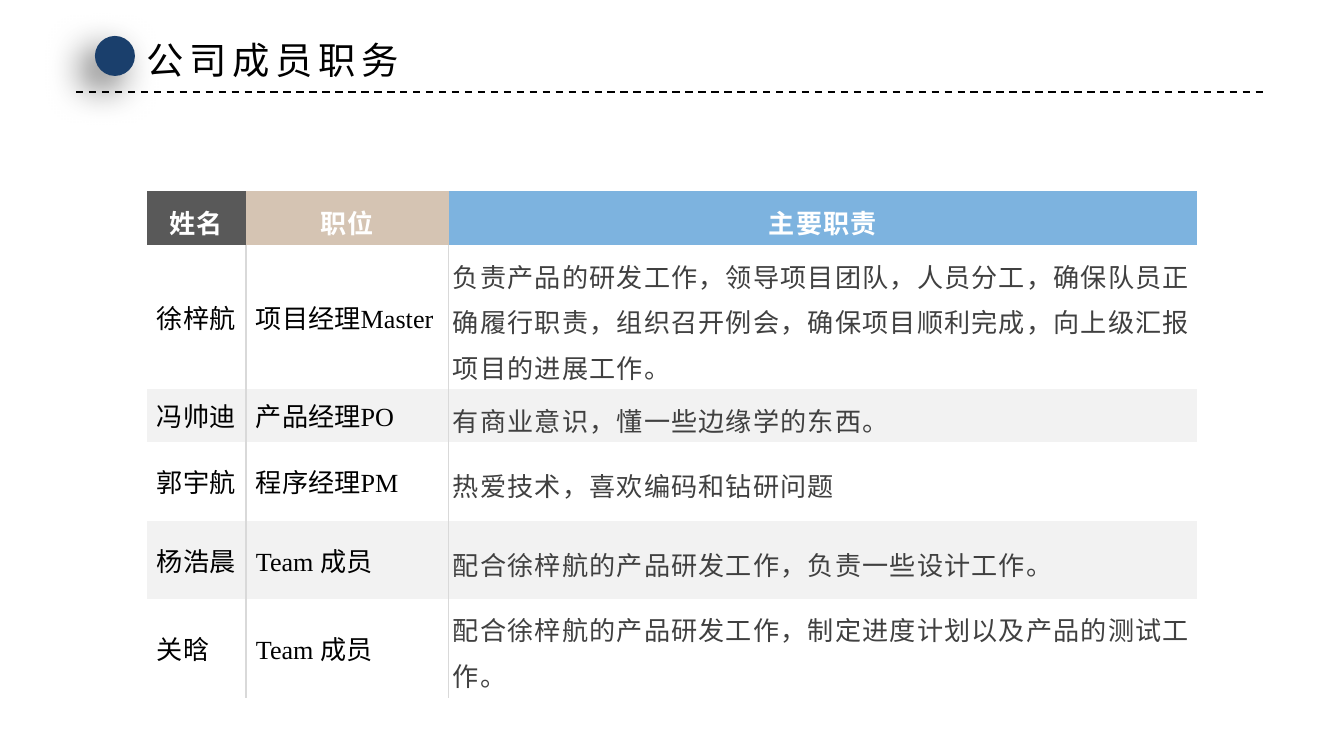
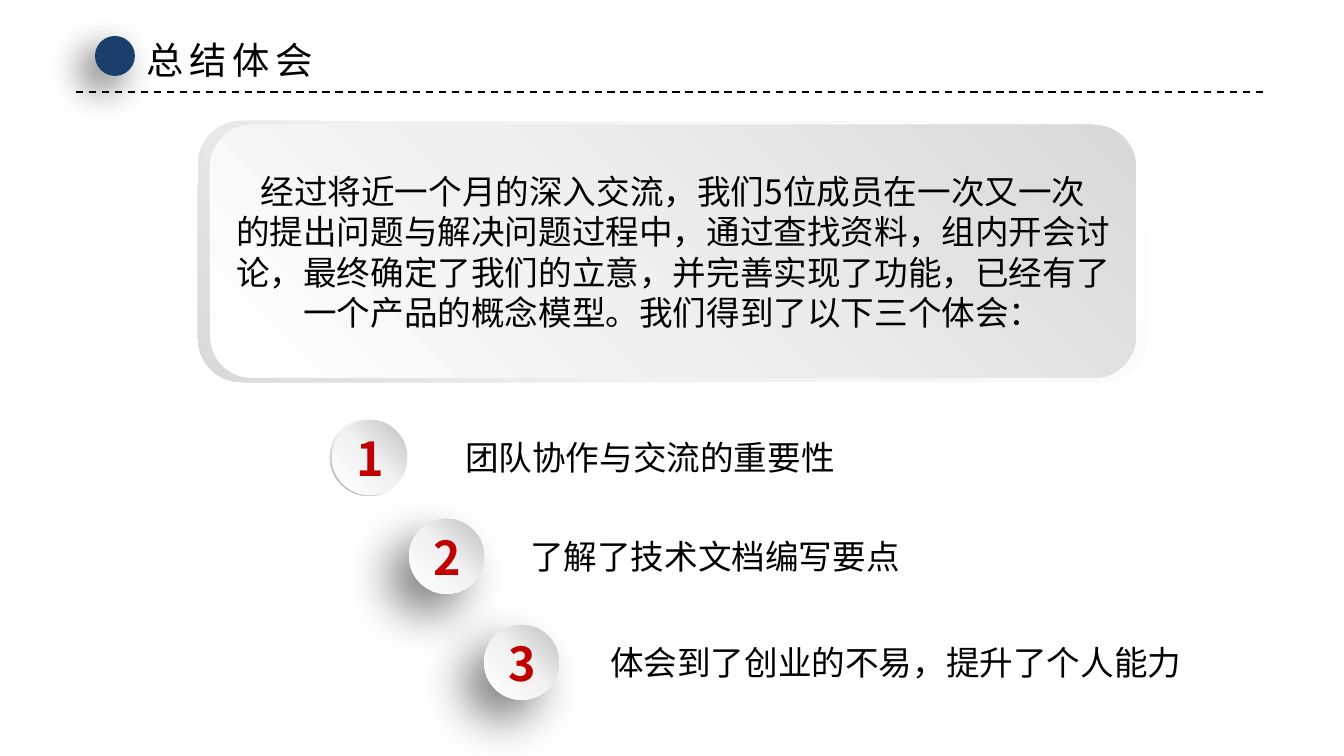
from dataclasses import dataclass

from lxml.etree import SubElement
from pptx import Presentation
from pptx.dml.color import RGBColor
from pptx.enum.dml import MSO_LINE
from pptx.enum.shapes import MSO_CONNECTOR, MSO_SHAPE
from pptx.enum.text import MSO_ANCHOR, MSO_AUTO_SIZE, PP_ALIGN
from pptx.oxml.ns import qn
from pptx.util import Emu, Pt


@dataclass(frozen=True)
class Theme:
    sans: str = "Noto Sans CJK SC"
    serif: str = "Times New Roman"
    ink: str = "000000"
    white: str = "FFFFFF"
    navy: str = "1A3F6C"
    red: str = "C00000"
    duty: str = "404040"
    rule: str = "D9D9D9"
    heads: tuple = ("595959", "D5C4B3", "7DB3DF")
    stripes: tuple = ("FFFFFF", "F2F2F2")
    title: int = 20
    body: int = 18
    cell: int = 14
    number: int = 25


T = Theme()
PX = 914400 / 134.4
BOX_BACK = ((0, "FFFFFF"), (62, "F2F2F2"), (100, "D9D9D9"))
BOX_FRONT = ((0, "FFFFFF"), (42, "F0F0F0"), (100, "D9D9D9"))
RING = ((0, "FFFFFF"), (55, "F2F2F2"), (100, "A6A6A6"))
BALL = ((0, "FFFFFF"), (51, "F2F2F2"), (100, "BFBFBF"))


def paint(sp, fill, angle=0, shadow=None):
    sp.line.fill.background()
    sp.shadow.inherit = False
    spPr = sp._element.spPr
    if isinstance(fill, str):
        sp.fill.solid()
        sp.fill.fore_color.rgb = RGBColor.from_string(fill)
    else:
        sp.fill.gradient()
        sp.fill.gradient_angle = 360 - angle
        stops = spPr.find(".//" + qn("a:gsLst"))
        for gs in list(stops):
            stops.remove(gs)
        for pos, color in fill:
            gs = SubElement(stops, qn("a:gs"), pos=str(pos * 1000))
            SubElement(gs, qn("a:srgbClr"), val=color)
    if shadow:
        alpha, blur, dist = shadow
        shdw = SubElement(spPr.find(qn("a:effectLst")), qn("a:outerShdw"),
                          blurRad=str(Pt(blur)), dist=str(Pt(dist)),
                          dir="8100000", algn="ctr", rotWithShape="0")
        clr = SubElement(shdw, qn("a:srgbClr"), val=T.ink)
        SubElement(clr, qn("a:alpha"), val=str(alpha * 1000))


def write(tf, text, size, color=T.ink, font=T.sans, bold=False, spacing=0,
          align=PP_ALIGN.LEFT, leading=None):
    tf.text = text
    p = tf.paragraphs[0]
    p.alignment = align
    p.line_spacing = leading
    for r in p.runs:
        r.font.size = Pt(size)
        r.font.bold = bold
        r.font.color.rgb = RGBColor.from_string(color)
        r.font.name = font
        rPr = r._r.get_or_add_rPr()
        rPr.set("spc", str(spacing))
        SubElement(rPr, qn("a:ea"), typeface=T.sans)


prs = Presentation()
prs.slide_width, prs.slide_height = Emu(round(1344 * PX)), Emu(round(756 * PX))

for text, width in (("公司成员职务", 285), ("总结体会", 199)):
    s = prs.slides.add_slide(prs.slide_layouts[5])
    rule = s.shapes.add_connector(MSO_CONNECTOR.STRAIGHT,
                                  *(round(v * PX) for v in (76, 92, 1268, 92)))
    rule.line.color.rgb = RGBColor.from_string(T.ink)
    rule.line.width = Pt(1)
    rule.line.dash_style = MSO_LINE.DASH
    SubElement(rule._element.spPr, qn("a:effectLst"))
    dot = s.shapes.add_shape(MSO_SHAPE.OVAL,
                             *(round(v * PX) for v in (95, 36, 40, 40)))
    paint(dot, T.navy, shadow=(60, 20, 10))
    title = s.shapes.title
    title.left, title.top, title.width, title.height = (
        round(v * PX) for v in (133, 30, width, 59))
    tf = title.text_frame
    tf.word_wrap = False
    tf.auto_size = MSO_AUTO_SIZE.SHAPE_TO_FIT_TEXT
    tf.vertical_anchor = MSO_ANCHOR.TOP
    write(tf, text, T.title, spacing=300)

members, summary = prs.slides

rows = (
    ("姓名", "职位", "主要职责"),
    ("徐梓航", "项目经理Master",
     "负责产品的研发工作，领导项目团队，人员分工，确保队员正确履行职责，组织召开例会，确保项目顺利完成，向上级汇报项目的进展工作。"),
    ("冯帅迪", "产品经理PO", "有商业意识，懂一些边缘学的东西。"),
    ("郭宇航", "程序经理PM", "热爱技术，喜欢编码和钻研问题"),
    ("杨浩晨", "Team 成员", "配合徐梓航的产品研发工作，负责一些设计工作。"),
    ("关晗", "Team 成员", "配合徐梓航的产品研发工作，制定进度计划以及产品的测试工作。"),
)
borders = ({"a:lnR": 1}, {"a:lnL": 0.5, "a:lnR": 0.5}, {"a:lnL": 0.5})
frame = members.shapes.add_table(len(rows), 3, *(round(v * PX) for v in (147, 191, 1050, 507)))
tbl = frame.table
tbl._tbl.tblPr.find(qn("a:tableStyleId")).text = "{2D5ABB26-0587-4C30-8999-92F81FD0307C}"
tbl.horz_banding = False
for col, width in zip(tbl.columns, (99, 203, 748)):
    col.width = round(width * PX)
for row, height in zip(tbl.rows, (54, 144, 53, 79, 78, 99)):
    row.height = round(height * PX)

for i, row in enumerate(rows):
    for j, text in enumerate(row):
        cell = tbl.cell(i, j)
        plain = i > 0 and j < 2
        cell.vertical_anchor = MSO_ANCHOR.MIDDLE
        cell.margin_left = cell.margin_right = round((10 if plain else 4) * PX)
        cell.margin_top = cell.margin_bottom = round((0 if plain else 4) * PX)
        cell.fill.solid()
        fill = T.stripes[(i - 1) % 2] if i else T.heads[j]
        cell.fill.fore_color.rgb = RGBColor.from_string(fill)
        if i == 0:
            write(cell.text_frame, text, T.cell, T.white, bold=True, spacing=60,
                  align=PP_ALIGN.CENTER, leading=1.2)
            continue
        if plain:
            write(cell.text_frame, text, T.cell, font=T.serif)
        else:
            write(cell.text_frame, text, T.cell, T.duty, spacing=60, leading=1.2)
        tcPr = cell._tc.get_or_add_tcPr()
        for n, (side, weight) in enumerate(borders[j].items()):
            ln = SubElement(tcPr, qn(side), w=str(Pt(weight)))
            SubElement(SubElement(ln, qn("a:solidFill")), qn("a:srgbClr"), val=T.rule)
            tcPr.insert(n, ln)

box = summary.shapes.add_group_shape()
back = box.shapes.add_shape(MSO_SHAPE.ROUNDED_RECTANGLE,
                            *(round(v * PX) for v in (198, 121, 949, 261)))
paint(back, BOX_BACK, 135)
front = box.shapes.add_shape(MSO_SHAPE.ROUNDED_RECTANGLE,
                             *(round(v * PX) for v in (210, 125, 926, 253)))
paint(front, BOX_FRONT, 315)
front.text_frame.vertical_anchor = MSO_ANCHOR.MIDDLE
write(front.text_frame,
      "经过将近一个月的深入交流，我们5位成员在一次又一次\v的提出问题与解决问题过程中，通过查找资料，组内开会讨论，最终确定了我们的立意，并完善实现了功能，已经有了一个产品的概念模型。我们得到了以下三个体会：",
      T.body, align=PP_ALIGN.CENTER)

lessons = (
    ("团队协作与交流的重要性", 332, 420, 452, 430, 594),
    ("了解了技术文档编写要点", 409, 519, 517, 529, 594),
    ("体会到了创业的不易，提升了个人能力", 484, 625, 597, 635, 616),
)
for n, (text, ball_x, ball_y, x, y, width) in enumerate(lessons, 1):
    shapes = summary.shapes
    if n == 1:
        shapes = summary.shapes.add_group_shape().shapes
        ring = shapes.add_shape(MSO_SHAPE.DONUT,
                                *(round(v * PX) for v in (330, 418, 78, 78)))
        ring.adjustments[0] = 0.05
        paint(ring, RING, 135)
    ball = shapes.add_shape(MSO_SHAPE.OVAL,
                            *(round(v * PX) for v in (ball_x, ball_y, 75, 75)))
    paint(ball, BALL, 315, (50, 25, 15) if n > 1 else None)
    ball.text_frame.vertical_anchor = MSO_ANCHOR.MIDDLE
    write(ball.text_frame, str(n), T.number, T.red, bold=True, align=PP_ALIGN.CENTER)
    tb = summary.shapes.add_textbox(*(round(v * PX) for v in (x, y, width, 54)))
    tf = tb.text_frame
    tf.word_wrap = True
    tf.auto_size = MSO_AUTO_SIZE.SHAPE_TO_FIT_TEXT
    write(tf, text, T.body)

prs.save("out.pptx")
